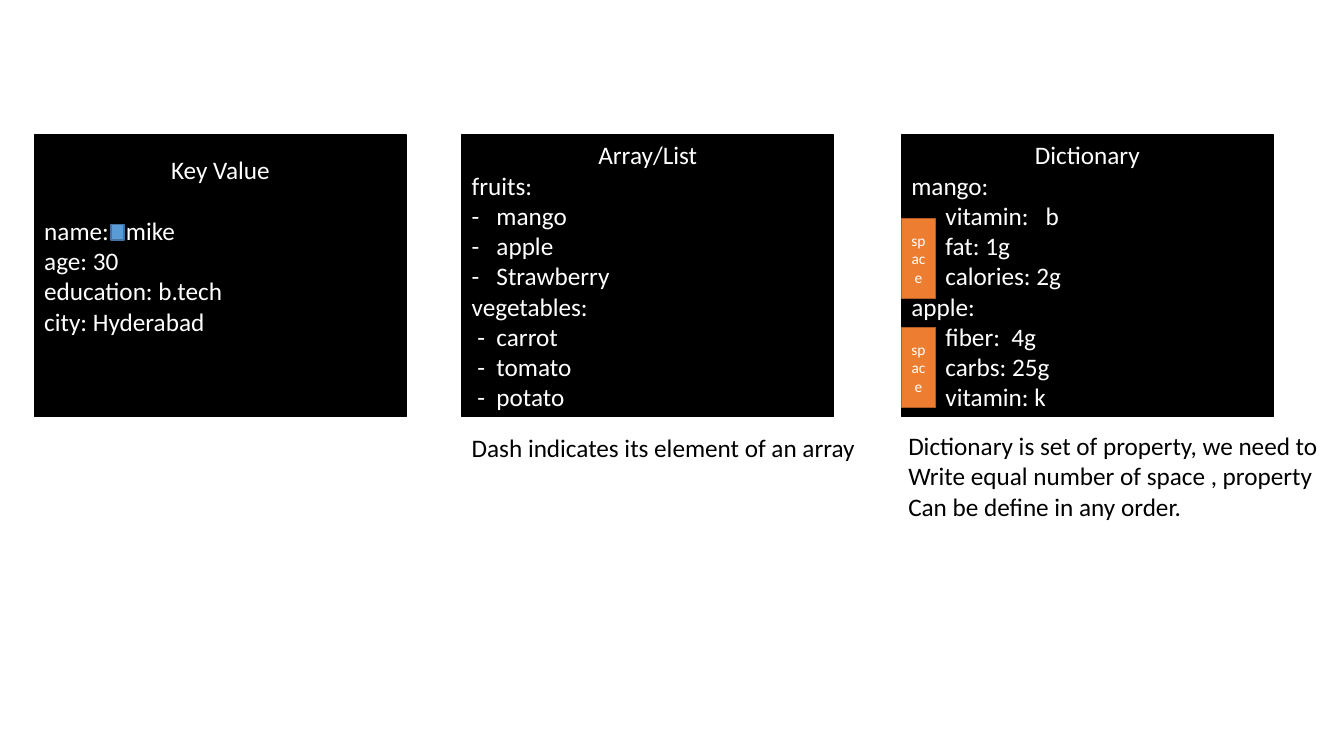
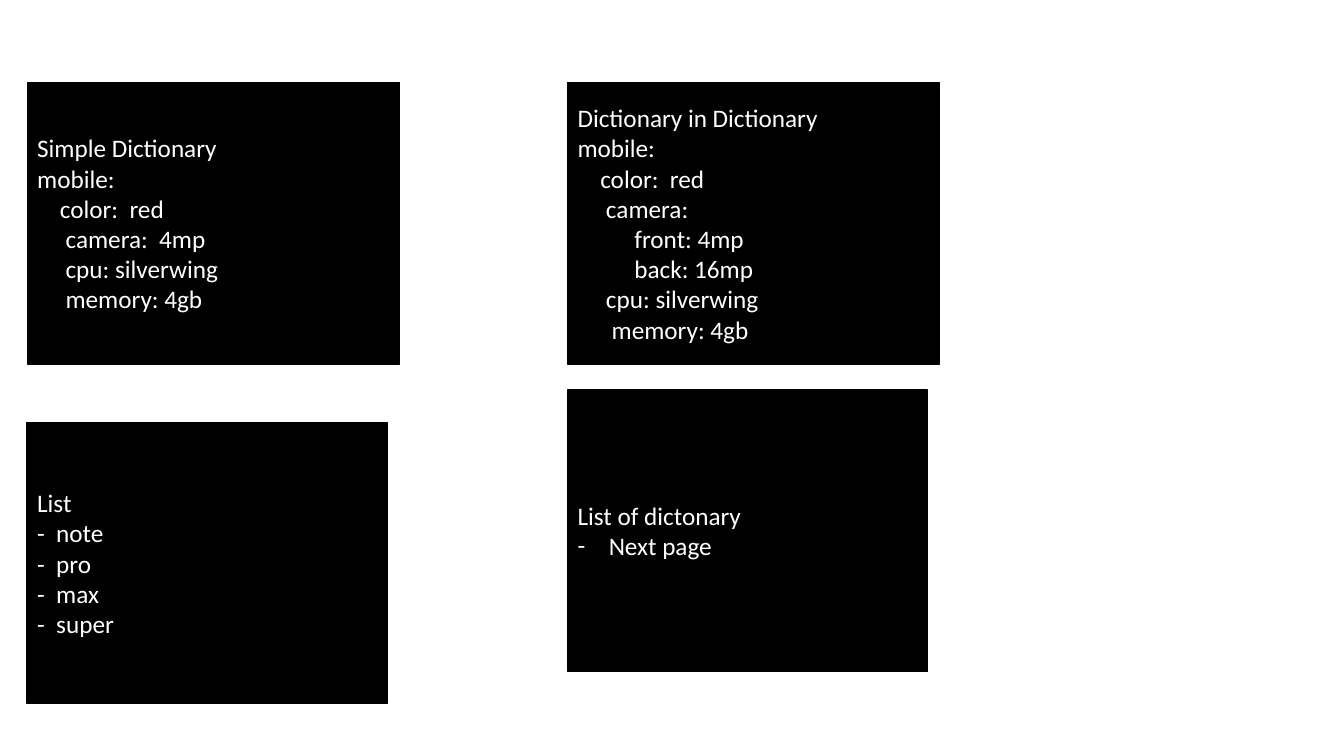
import pptx
import pptx.util
import pptx.dml.color
import pptx.enum.shapes
import pptx.enum.text
import pptx.oxml.ns
import lxml.etree

Inches = pptx.util.Inches
Pt = pptx.util.Pt
Align = pptx.enum.text.PP_ALIGN
COLORS = {
    "black": "000000", "white": "FFFFFF",
    "blue": "5B9BD5", "navy": "43739E",
    "orange": "ED7D31", "rust": "AF5C24",
}
FONT = "Calibri"
SIZE = 18
HIGH = 2.79  # height of every code panel


def write(frame, lines, color, size=SIZE, first=Align.LEFT):
    """Write one paragraph per line; the first has its own alignment."""
    for i, line in enumerate(lines):
        para = frame.paragraphs[0] if i == 0 else frame.add_paragraph()
        para.alignment = first if i == 0 else Align.LEFT
        run = para.add_run()
        run.text = line
        run.font.name = FONT
        run.font.size = Pt(size)
        run.font.color.rgb = pptx.dml.color.RGBColor.from_string(COLORS[color])


def block(slide, left, top, width, height, fill="black", line="black"):
    """Add a filled rectangle with a thin outline."""
    shape = slide.shapes.add_shape(
        pptx.enum.shapes.MSO_SHAPE.RECTANGLE,
        Inches(left), Inches(top), Inches(width), Inches(height))
    shape.shadow.inherit = False
    shape.fill.solid()
    shape.fill.fore_color.rgb = pptx.dml.color.RGBColor.from_string(COLORS[fill])
    shape.line.color.rgb = pptx.dml.color.RGBColor.from_string(COLORS[line])
    shape.line.width = Pt(1)
    frame = shape.text_frame
    frame.word_wrap = True
    frame.vertical_anchor = pptx.enum.text.MSO_ANCHOR.MIDDLE
    return frame


deck = pptx.Presentation()
deck.slide_width = Inches(13.33)
deck.slide_height = Inches(7.5)
blank = deck.slide_layouts[6]

# Slide 1: the three basic structures
slide = deck.slides.add_slide(blank)
panels = [
    (0.34, ["Key Value", "name:   mike", "age: 30", "education: b.tech",
            "city: Hyderabad"]),
    (4.58, ["Array/List", "fruits:", "-   mango", "-   apple",
            "-   Strawberry", "vegetables:", " -  carrot", " -  tomato",
            " -  potato"]),
    (8.94, ["Dictionary", "mango:", "      vitamin:   b", "      fat: 1g",
            "      calories: 2g", "apple:", "      fiber:  4g",
            "      carbs: 25g", "      vitamin: k"]),
]
frames = []
for left, lines in panels:
    frame = block(slide, left, 1.34, 3.69, HIGH)
    write(frame, lines, "white", first=Align.CENTER)
    frames.append(frame)

# The key-value text sits higher, with a gap below its heading
frames[0].margin_bottom = Inches(0.65)
frames[0].paragraphs[0].space_after = Pt(21.6)

# Markers for the spaces
block(slide, 1.1, 2.23, 0.13, 0.15, "blue", "navy")
for top in (2.17, 3.25):
    frame = block(slide, 8.94, top, 0.34, 0.79, "orange", "rust")
    write(frame, ["space"], "white", 11, Align.CENTER)

# Captions under the panels
captions = [
    (4.58, 4.24, 4.05, 0.4, ["Dash indicates its element of an array"]),
    (8.91, 4.22, 4.31, 1.01, ["Dictionary is set of property, we need to",
                              "Write equal number of space , property",
                              "Can be define in any order."]),
]
for left, top, width, height, lines in captions:
    box = slide.shapes.add_textbox(
        Inches(left), Inches(top), Inches(width), Inches(height))
    box.text_frame.word_wrap = False
    write(box.text_frame, lines, "black")

# Slide 2: nested structures
slide = deck.slides.add_slide(blank)
panels = [
    (0.27, 0.82, 3.69, ["Simple Dictionary", "mobile:", "    color:  red",
                        "     camera:  4mp", "     cpu: silverwing",
                        "     memory: 4gb"]),
    (5.63, 0.82, 3.69, ["Dictionary in Dictionary", "mobile:",
                        "    color:  red", "     camera:",
                        "          front: 4mp", "          back: 16mp",
                        "     cpu: silverwing", "      memory: 4gb"]),
    (0.27, 4.19, 3.57, ["List", "-  note", "-  pro", "-  max", "-  super"]),
    (5.63, 3.87, 3.57, ["List of dictonary", "Next page"]),
]
for left, top, width, lines in panels:
    frame = block(slide, left, top, width, HIGH)
    write(frame, lines, "white")

# Dash bullet on the last line of the last panel
props = frame.paragraphs[-1]._p.get_or_add_pPr()
props.set("marL", str(Inches(0.31)))
props.set("indent", str(-Inches(0.31)))
for tag, key, value in (("a:buFont", "typeface", FONT),
                        ("a:buChar", "char", "-")):
    mark = lxml.etree.SubElement(props, pptx.oxml.ns.qn(tag))
    mark.set(key, value)

deck.save("out.pptx")
